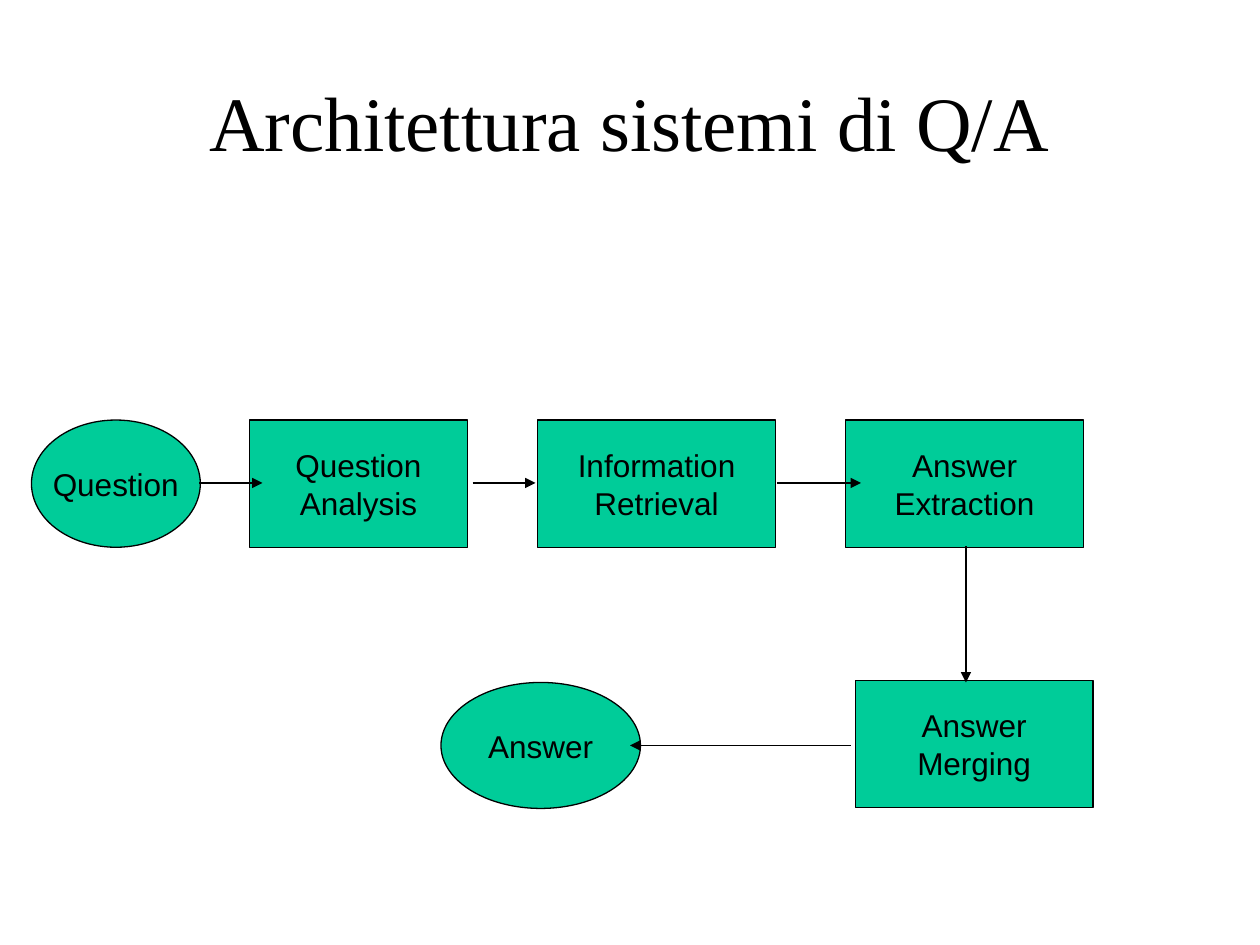
from pptx import Presentation
from pptx.dml.color import RGBColor
from pptx.enum.shapes import MSO_CONNECTOR as Link, MSO_SHAPE as Preset
from pptx.enum.text import MSO_ANCHOR as Anchor, PP_ALIGN as Align
from pptx.oxml.ns import qn
from pptx.util import Pt
from lxml.etree import SubElement

COLORS = {"ink": "000000", "node": "00CC99", "paper": "FFFFFF"}
TITLE_FONT = {"name": "Times New Roman", "size": Pt(44)}
NODE_FONT = {"name": "Arial", "size": Pt(18)}
ROW_TOP, ROW_HEIGHT, ROW_AXIS = 240, 72.7, 276
RETURN_AXIS = 426


class Diagram:
    """Holds the style and the current page of a flow diagram."""

    def __init__(self, deck):
        self.page = deck.slides.add_slide(deck.slide_layouts[6])
        self.paint(self.page.background.fill, "paper")

    def paint(self, fill, color):
        fill.solid()
        fill.fore_color.rgb = RGBColor.from_string(COLORS[color])

    def outline(self, line):
        self.paint(line.fill, "ink")
        line.width = Pt(0.75)

    def label(self, box, lines, font, wrap):
        frame = box.text_frame
        layout = {"word_wrap": wrap, "vertical_anchor": Anchor.MIDDLE}
        for name, value in layout.items():
            setattr(frame, name, value)
        frame.text = "\n".join(lines)
        for para in frame.paragraphs:
            para.alignment = Align.CENTER
            for span in para.runs:
                for name, value in font.items():
                    setattr(span.font, name, value)
                span.font.color.rgb = RGBColor.from_string(COLORS["ink"])

    def title(self, text, *place):
        box = self.page.shapes.add_textbox(*map(Pt, place))
        self.label(box, [text], TITLE_FONT, True)

    def node(self, preset, lines, *place):
        box = self.page.shapes.add_shape(preset, *map(Pt, place))
        box.shadow.inherit = False
        self.paint(box.fill, "node")
        self.outline(box.line)
        self.label(box, lines, NODE_FONT, False)

    def arrow(self, *ends):
        link = self.page.shapes.add_connector(Link.STRAIGHT, *map(Pt, ends))
        self.outline(link.line)
        properties = link._element.spPr
        SubElement(properties.find(qn("a:ln")), qn("a:tailEnd"), type="triangle")
        SubElement(properties, qn("a:effectLst"))


def main():
    deck = Presentation()
    deck.slide_width, deck.slide_height = Pt(720), Pt(540)
    diagram = Diagram(deck)
    diagram.title("Architettura sistemi di Q/A", 54, 24, 612, 90)

    stages = [
        (Preset.OVAL, ["Question"], 18, 96.5),
        (Preset.RECTANGLE, ["Question", "Analysis"], 142.5, 124.7),
        (Preset.RECTANGLE, ["Information", "Retrieval"], 307.2, 136),
        (Preset.RECTANGLE, ["Answer", "Extraction"], 483.2, 136),
    ]
    for preset, lines, left, width in stages:
        diagram.node(preset, lines, left, ROW_TOP, width, ROW_HEIGHT)
    diagram.node(Preset.RECTANGLE, ["Answer", "Merging"], 488.7, 388.7, 136, ROW_HEIGHT)

    for start, end in [(114, 150), (270, 306), (444, 492)]:
        diagram.arrow(start, ROW_AXIS, end, ROW_AXIS)
    diagram.arrow(552, 312, 552, 390)
    diagram.node(Preset.OVAL, ["Answer"], 252, 390, 114, 72)
    diagram.arrow(486, RETURN_AXIS, 360, RETURN_AXIS)
    deck.save("out.pptx")


if __name__ == "__main__":
    main()
